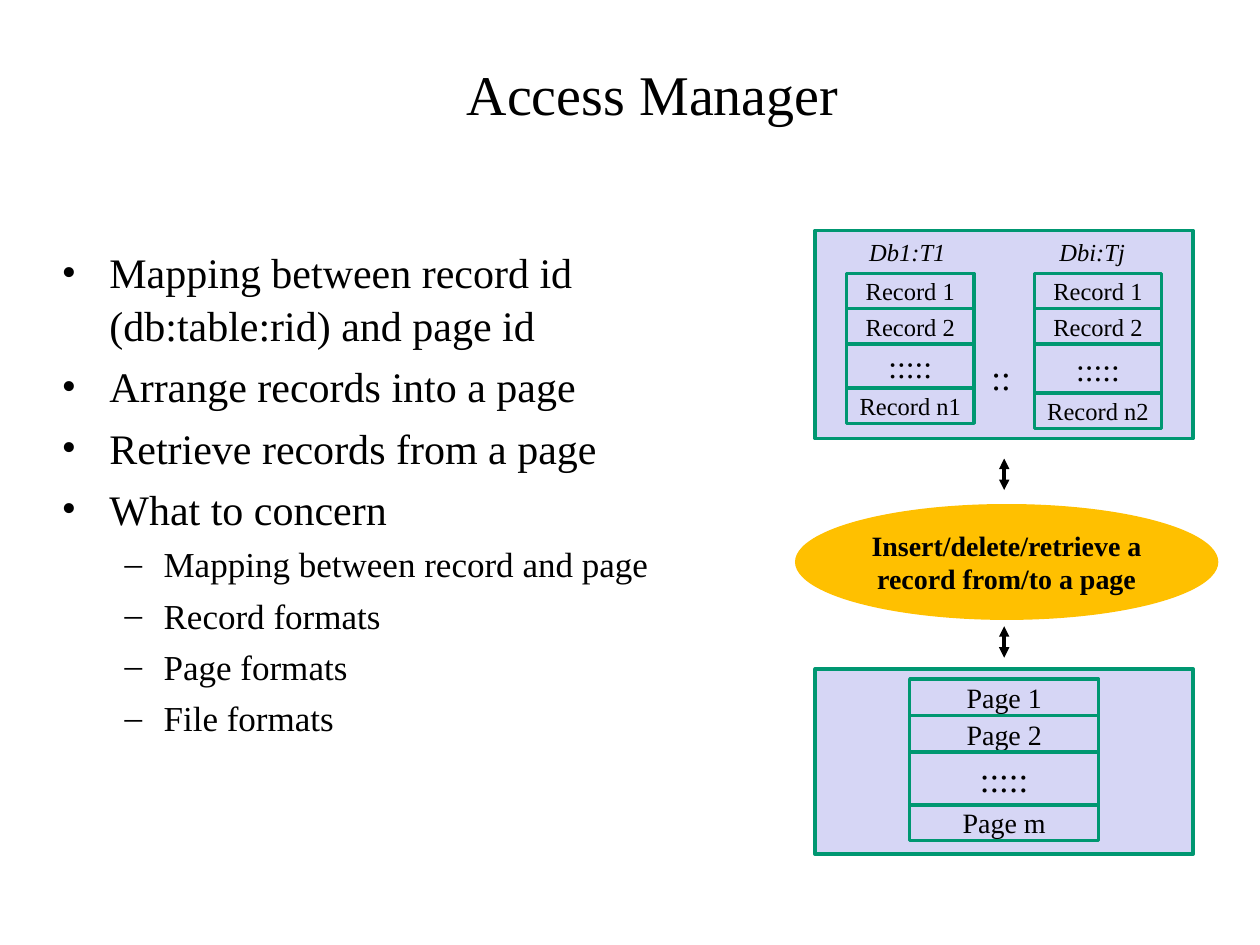
from lxml import etree
from pptx import Presentation, util as u
from pptx.dml.color import RGBColor
from pptx.enum import shapes, text
from pptx.oxml.ns import qn

COLUMNS, ROWS = 100, 75
WIDTH, HEIGHT = u.Inches(10), u.Inches(7.5)
FONT = "Times New Roman"
BLACK, GREEN, LILAC, AMBER = "000000", "009771", "D6D6F5", "FFC000"
DOTS = ":::::"


def color(hex_code):
    """Turn a hex string into a colour."""
    return RGBColor.from_string(hex_code)


def grid(column, row):
    """Turn grid columns and rows into slide lengths."""
    return round(WIDTH * column / COLUMNS), round(HEIGHT * row / ROWS)


def add_words(paragraph, words, size, bold=False, italic=False):
    """Add one formatted run to a paragraph."""
    run = paragraph.add_run()
    run.text = words
    run.font.name, run.font.size = FONT, u.Pt(size)
    run.font.bold, run.font.italic = bold, italic
    run.font.color.rgb = color(BLACK)


def add_label(slide, box, words, size, italic=False, centered=False):
    """Add a one-line text box."""
    label = slide.shapes.add_textbox(*grid(*box[:2]), *grid(*box[2:]))
    frame = label.text_frame
    frame.word_wrap = centered
    if centered:
        frame.vertical_anchor = text.MSO_ANCHOR.MIDDLE
        frame.paragraphs[0].alignment = text.PP_ALIGN.CENTER
    add_words(frame.paragraphs[0], words, size, italic=italic)


def add_block(slide, box, fill=None, outline=None, words="", size=16,
              preset=shapes.MSO_SHAPE.RECTANGLE, bold=False):
    """Add a shape with optional fill, outline and centred words."""
    block = slide.shapes.add_shape(preset, *grid(*box[:2]), *grid(*box[2:]))
    block.shadow.inherit = False
    if fill:
        block.fill.solid()
        block.fill.fore_color.rgb = color(fill)
    else:
        block.fill.background()
    if outline:
        block.line.color.rgb = color(outline)
        block.line.width = u.Pt(2)
    else:
        block.line.fill.background()
    if words:
        frame = block.text_frame
        frame.word_wrap = True
        frame.margin_left = frame.margin_right = 0
        frame.margin_top = frame.margin_bottom = 0
        frame.vertical_anchor = text.MSO_ANCHOR.MIDDLE
        frame.paragraphs[0].alignment = text.PP_ALIGN.CENTER
        add_words(frame.paragraphs[0], words, size, bold)


def add_stack(slide, left, top, width, cells):
    """Stack outlined cells given as words, height and text size."""
    for words, height, size in cells:
        add_block(slide, (left, top, width, height), None, GREEN, words, size)
        top += height


def add_double_arrow(slide, column, top, bottom):
    """Draw a vertical line with a head at each end."""
    arrow = slide.shapes.add_connector(
        shapes.MSO_CONNECTOR.STRAIGHT, *grid(column, top), *grid(column, bottom))
    arrow.line.color.rgb = color(BLACK)
    arrow.line.width = u.Pt(2)
    for end in ("a:headEnd", "a:tailEnd"):
        etree.SubElement(arrow.line._get_or_add_ln(), qn(end), type="triangle")
    etree.SubElement(arrow._element.spPr, qn("a:effectLst"))


def add_outline(slide, box, points):
    """Write a two-level bulleted list."""
    styles = [("•", 24, 0.38, 0.38), ("–", 20, 0.81, 0.31)]
    frame = slide.shapes.add_textbox(*grid(*box[:2]), *grid(*box[2:])).text_frame
    frame.word_wrap = True
    for index, (level, words) in enumerate(points):
        mark, size, indent, hanging = styles[level]
        point = frame.add_paragraph() if index else frame.paragraphs[0]
        point.level = level
        point.line_spacing = 1.05
        point.space_before = u.Pt(size * 0.2)
        properties = point._p.get_or_add_pPr()
        properties.set("marL", str(u.Inches(indent)))
        properties.set("indent", str(-u.Inches(hanging)))
        etree.SubElement(properties, qn("a:buFont"), typeface=FONT)
        etree.SubElement(properties, qn("a:buChar"), char=mark)
        add_words(point, words, size)


def main():
    """Build the slide."""
    deck = Presentation()
    deck.slide_width, deck.slide_height = WIDTH, HEIGHT
    slide = deck.slides.add_slide(deck.slide_layouts[6])
    add_label(slide, (11.7, 2.5, 80.2, 9.8), "Access Manager", 32, centered=True)
    add_outline(slide, (3.9, 18.9, 58.1, 45), [
        (0, "Mapping between record id (db:table:rid) and page id"),
        (0, "Arrange records into a page"),
        (0, "Retrieve records from a page"),
        (0, "What to concern"),
        (1, "Mapping between record and page"),
        (1, "Record formats"),
        (1, "Page formats"),
        (1, "File formats"),
    ])

    for top, height in ((18.3, 16.5), (53.1, 14.7)):
        add_block(slide, (64.7, top, 30, height), LILAC, GREEN)
    tables = [("Db1:T1", 68, 8.3, 67.2, 3.5, "Record n1"),
              ("Dbi:Tj", 83.1, 7.2, 82.1, 3.9, "Record n2")]
    for name, name_left, name_width, left, gap, last in tables:
        add_label(slide, (name_left, 18.3, name_width, 3.4), name, 14, italic=True)
        add_stack(slide, left, 21.7, 10.1, [
            ("Record 1", 2.8, 14), ("Record 2", 2.8, 14),
            (DOTS, gap, 18), (last, 2.8, 14)])
    add_label(slide, (77.7, 27.7, 3.7, 4.4), "::", 20)
    add_stack(slide, 72.2, 53.9, 15, [
        ("Page 1", 2.9, 16), ("Page 2", 2.9, 16),
        (DOTS, 4.2, 20), ("Page m", 2.8, 16)])

    add_block(slide, (63.1, 40, 33.6, 9.2), AMBER,
              words="Insert/delete/retrieve a record from/to a page",
              preset=shapes.MSO_SHAPE.OVAL, bold=True)
    for top in (36.4, 49.7):
        add_double_arrow(slide, 79.7, top, top + 2.5)
    deck.save("out.pptx")


if __name__ == "__main__":
    main()
